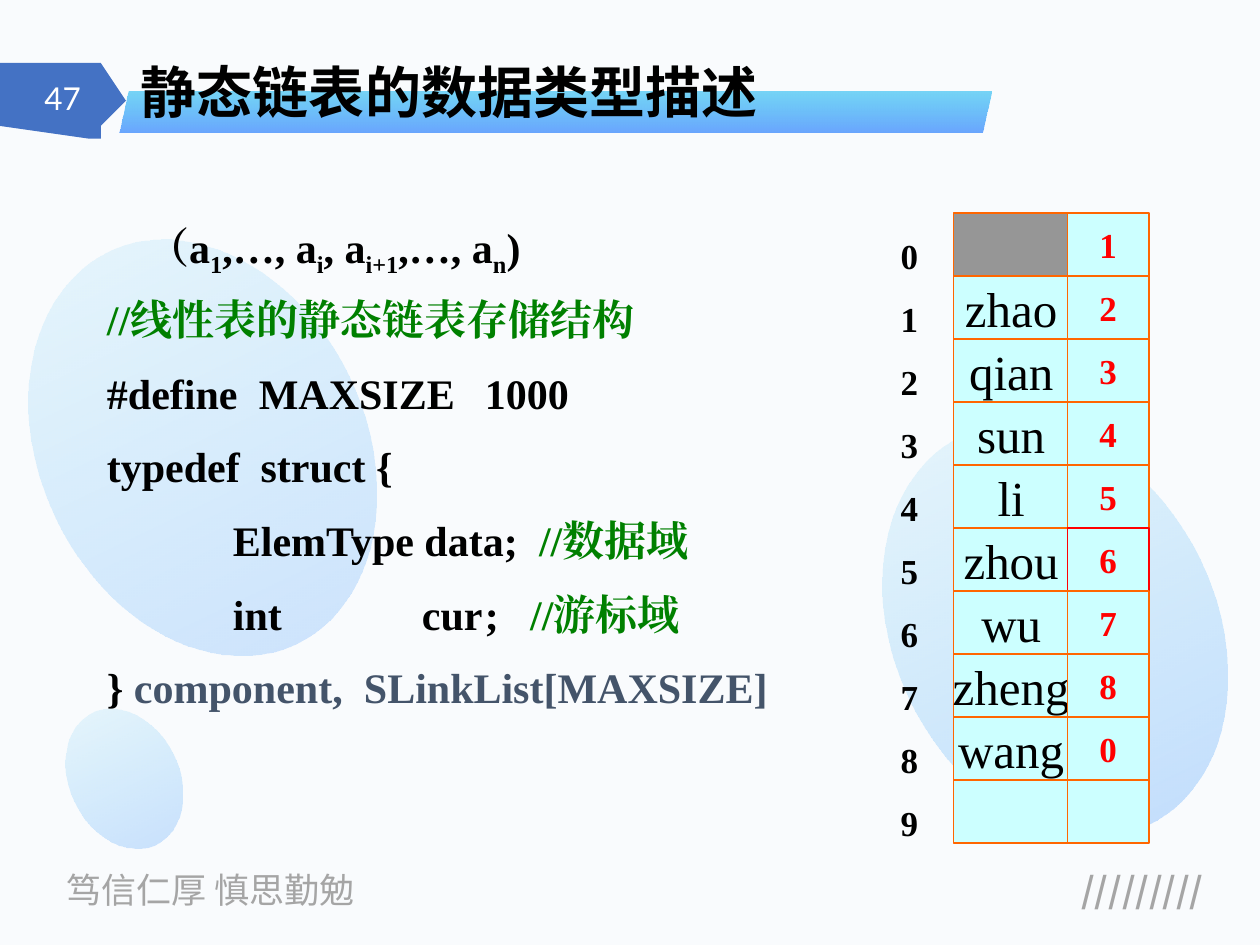
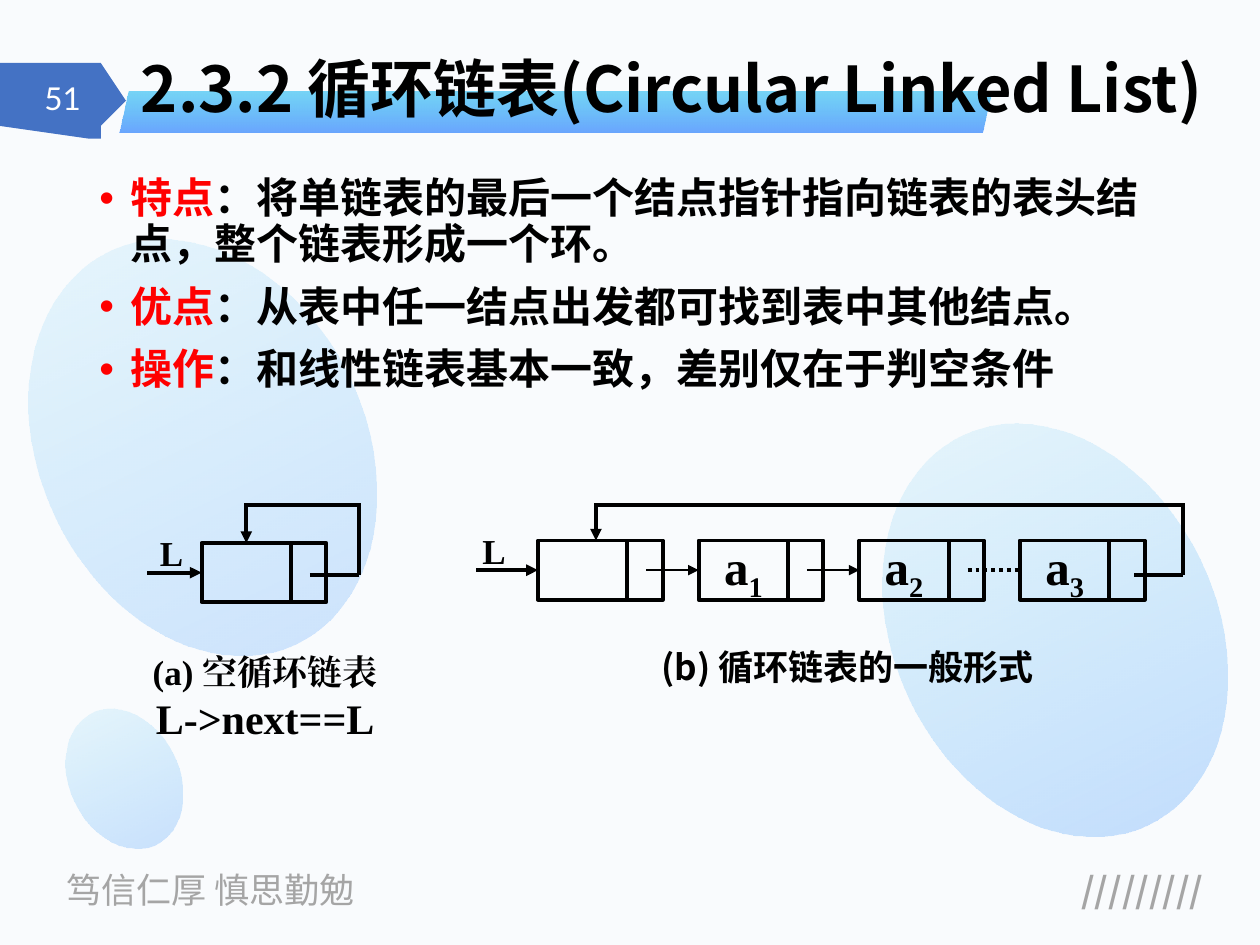
from dataclasses import dataclass
from typing import Optional

from lxml.etree import SubElement
from pptx import Presentation
from pptx.dml.color import RGBColor
from pptx.enum.dml import MSO_LINE_DASH_STYLE as Dash
from pptx.enum.shapes import MSO_CONNECTOR_TYPE as Link, MSO_SHAPE as Preset
from pptx.enum.text import MSO_ANCHOR as Anchor, PP_ALIGN as Align
from pptx.oxml.ns import qn
from pptx.util import Inches, Pt

# Grid: 100 columns by 75 rows
WIDTH, HEIGHT = Inches(10), Inches(7.5)
COLUMN, ROW = WIDTH / 100, HEIGHT / 75

SANS, SERIF, NUMBER = "Noto Sans CJK SC", "Times New Roman", "Lato"
COLORS = {
    "paper": "F9FBFD", "ink": "000000", "muted": "A5A5A5", "white": "FFFFFF",
    "tag": "4472C4", "blue": "3385FF", "sky": "00B0F0", "red": "FF0000",
    "green": "008000", "slate": "44546A", "orange": "FF6600",
    "cell": "CCFFFF", "unused": "969696",
}


@dataclass(frozen=True)
class Area:
    left: float
    top: float
    width: float
    height: float

    def emu(self) -> tuple:
        return (round(self.left * COLUMN), round(self.top * ROW),
                round(self.width * COLUMN), round(self.height * ROW))


@dataclass(frozen=True)
class Blob:
    area: Area
    opacity: int


@dataclass(frozen=True)
class CodeLine:
    stops: tuple  # tab stops in columns
    spans: tuple  # (text, colour) pairs


@dataclass(frozen=True)
class Node:
    left: float
    top: float
    label: str = ""


BLOBS = (
    Blob(Area(5.5, 56, 8.7, 11.6), 24),
    Blob(Area(70.9, 32.9, 25.6, 34.2), 27),
    Blob(Area(3.2, 18.3, 25.8, 34.4), 22),
)
TAG_OUTLINE = ((7.9, 5), (8.1, 5.1), (9.7, 7.6), (9.74, 7.75), (9.7, 7.9),
               (8.1, 10.5), (7.9, 10.6), (7.3, 10.6), (0, 10.5))
CODE = (
    CodeLine((), (("//线性表的静态链表存储结构", "green"),)),
    CodeLine((12.06, 30), (("#define\tMAXSIZE\t1000", "ink"),)),
    CodeLine((12.2,), (("typedef\tstruct {", "ink"),)),
    CodeLine((10, 34.3), (("\tElemType data;\t", "ink"), ("//数据域", "green"))),
    CodeLine((10, 25, 30, 33.6), (("\tint\tcur\t;\t", "ink"), ("//游标域", "green"))),
    CodeLine((20.4,), (("} ", "ink"), ("component,\tSLinkList[MAXSIZE]", "slate"))),
)
ENTRIES = (("", "1"), ("zhao", "2"), ("qian", "3"), ("sun", "4"), ("li", "5"),
           ("zhou", "6"), ("wu", "7"), ("zheng", "8"), ("wang", "0"), ("", ""))
POINTS = (
    ("特点", "：将单链表的最后一个结点指针指向链表的表头结点，整个链表形成一个环。"),
    ("优点", "：从表中任一结点出发都可找到表中其他结点。"),
    ("操作", "：和线性链表基本一致，差别仅在于判空条件"),
)
DATA_WIDTH, POINTER_WIDTH, NODE_HEIGHT = 7.1, 2.8, 4.7
POINTER_START = 8.6  # where a pointer leaves its node


def rgb(name: str) -> RGBColor:
    return RGBColor.from_string(COLORS[name])


# Text
def write(para, text: str, *, size: float, color: str = "ink",
          font: str = SERIF, bold: bool = True) -> None:
    """Add text; every second piece between bars is a subscript."""
    for number, piece in enumerate(text.split("|")):
        if not piece:
            continue
        span = para.add_run()
        span.text = piece
        span.font.size, span.font.bold, span.font.name = Pt(size), bold, font
        span.font.color.rgb = rgb(color)
        props = span._r.get_or_add_rPr()
        SubElement(props, qn("a:ea"), typeface=font)
        if number % 2:
            props.set("baseline", "-25000")


def add_text(page, area: Area, text: str = "", *, align=Align.LEFT,
             anchor=Anchor.TOP, wrap: bool = True, spacing: float = 1, **style):
    box = page.shapes.add_textbox(*area.emu())
    frame = box.text_frame
    frame.word_wrap, frame.vertical_anchor = wrap, anchor
    para = frame.paragraphs[0]
    para.alignment, para.line_spacing = align, spacing
    if text:
        write(para, text, **style)
    return frame


def next_para(frame, index: int):
    return frame.add_paragraph() if index else frame.paragraphs[0]


# Shapes
def add_preset(page, preset, area: Area):
    shape = page.shapes.add_shape(preset, *area.emu())
    shape.shadow.inherit = False
    shape.line.fill.background()
    return shape


def fade(shape, *stops: tuple) -> None:
    """Fill from top to bottom with (colour, opacity) stops."""
    shape.fill.gradient()
    shape.fill.gradient_angle = 270
    for stop, (color, opacity) in zip(shape.fill.gradient_stops, stops):
        stop.color.rgb = rgb(color)
    tints = shape._element.spPr.iter(qn("a:srgbClr"))
    for tint, (color, opacity) in zip(tints, stops):
        SubElement(tint, qn("a:alpha"), val=str(opacity * 1000))


def add_cell(page, area: Area, text: str = "", *, fill: Optional[str] = None,
             line: str = "ink", weight: float = 2.25, **style):
    cell = add_preset(page, Preset.RECTANGLE, area)
    if fill:
        cell.fill.solid()
        cell.fill.fore_color.rgb = rgb(fill)
    else:
        cell.fill.background()
    cell.line.color.rgb, cell.line.width = rgb(line), Pt(weight)
    if text:
        frame = cell.text_frame
        frame.word_wrap, frame.vertical_anchor = False, Anchor.MIDDLE
        frame.paragraphs[0].alignment = Align.CENTER
        write(frame.paragraphs[0], text, **style)
    return cell


def add_line(page, start: tuple, end: tuple, *, weight: float = 2.25,
             arrow: bool = False, dash=None, target=None, side: int = 1) -> None:
    ends = [round(value * unit) for point in (start, end)
            for value, unit in zip(point, (COLUMN, ROW))]
    line = page.shapes.add_connector(Link.STRAIGHT, *ends)
    if target is not None:
        line.end_connect(target, side)
    line.line.color.rgb, line.line.width = rgb("ink"), Pt(weight)
    if dash:
        line.line.dash_style = dash
    if arrow:
        SubElement(line.line._get_or_add_ln(), qn("a:tailEnd"), type="triangle")
    SubElement(line._element.spPr, qn("a:effectLst"))


# Shared slide frame
def add_page(deck, number: int, title: str, *, size: float, width: float):
    page = deck.slides.add_slide(deck.slide_layouts[6])
    page.background.fill.solid()
    page.background.fill.fore_color.rgb = rgb("paper")
    footer = dict(size=20, font=SANS, color="muted")
    add_text(page, Area(4.3, 68.4, 27, 4.4), "笃信仁厚 慎思勤勉", bold=False, **footer)
    add_text(page, Area(76.7, 68.4, 19.8, 4.4), "/////////", align=Align.RIGHT, **footer)
    for blob in BLOBS:
        ellipse = add_preset(page, Preset.OVAL, blob.area)
        ellipse.rotation = 154.4
        fade(ellipse, ("blue", blob.opacity), ("sky", 8))

    # Page number tag and title band
    outline = page.shapes.build_freeform(0, 5, scale=(COLUMN, ROW))
    outline.add_line_segments(TAG_OUTLINE, close=True)
    tag = outline.convert_to_shape()
    tag.shadow.inherit = False
    tag.fill.solid()
    tag.fill.fore_color.rgb = rgb("tag")
    tag.line.fill.background()
    add_text(page, Area(1, 5.8, 6.4, 4), str(number), align=Align.RIGHT,
             anchor=Anchor.MIDDLE, size=18, font=NUMBER, color="white", bold=False)
    band = add_preset(page, Preset.PARALLELOGRAM, Area(9.5, 7.3, 69.2, 3.2))
    band.adjustments[0] = 0.233
    fade(band, ("sky", 52), ("blue", 73))
    add_text(page, Area(10.2, 4, width, 6.5), title, anchor=Anchor.BOTTOM,
             spacing=0.9, size=size, font=SANS)
    return page


# Static linked list
def add_static_list(deck) -> None:
    page = add_page(deck, 47, "静态链表的数据类型描述", size=32, width=68.5)
    frame = add_text(page, Area(7.5, 22.8, 55.9, 35.3))
    for index, code in enumerate(CODE):
        para = next_para(frame, index)
        if code.stops:
            tabs = SubElement(para._p.get_or_add_pPr(), qn("a:tabLst"))
            for stop in code.stops:
                SubElement(tabs, qn("a:tab"), pos=str(round(stop * COLUMN)), algn="l")
        if index:
            para.space_before = Pt(13.3)
        for text, color in code.spans:
            write(para, text, size=24, color=color)
    add_text(page, Area(10.7, 17.5, 44.7, 4.6),
             "（a|1|,…, a|i|, a|i+1|,…, a|n|)", spacing=0.8, size=24)

    # Array of names and cursors
    for index, (name, cursor) in enumerate(ENTRIES):
        top = 16.9 + 5 * index
        add_cell(page, Area(75.7, top, 9.1, 5), name, weight=0.75, line="orange",
                 fill="cell" if index else "unused", size=28, bold=False)
        add_cell(page, Area(84.7, top, 6.5, 5), cursor, weight=0.75, fill="cell",
                 line="red" if name == "zhou" else "orange", size=20, color="red")
        add_text(page, Area(70.5, top + 1.2, 5.2, 4.3), str(index), size=20)


# Circular linked list
def add_node(page, node: Node):
    data = add_cell(page, Area(node.left, node.top, DATA_WIDTH, NODE_HEIGHT),
                    node.label, size=28)
    add_cell(page, Area(node.left + DATA_WIDTH, node.top, POINTER_WIDTH, NODE_HEIGHT))
    return data


def add_head(page, node: Node, data, label_left: float, start: float) -> None:
    middle = node.top + NODE_HEIGHT / 2
    add_text(page, Area(label_left, node.top - 1.4, 3.9, 4.3), "L", wrap=False, size=20)
    add_line(page, (start, middle), (node.left, middle), arrow=True, target=data)


def add_return(page, start: float, right: float, back: float, bottom: float,
               target=None) -> None:
    """Lead the last pointer up and over to the head node."""
    add_line(page, (start, 45.6), (right, 45.6))
    add_line(page, (right, 45.6), (right, 40.1))
    add_line(page, (right + 0.15, 40.1), (back - 0.15, 40.1))
    add_line(page, (back, 40.1), (back, bottom), arrow=True, target=target, side=0)


def add_circular_list(deck) -> None:
    page = add_page(deck, 51, "2.3.2 循环链表(Circular Linked List)", size=36, width=89)
    frame = add_text(page, Area(6.9, 13.6, 86.3, 53.9))
    for index, (term, text) in enumerate(POINTS):
        para = next_para(frame, index)
        props = para._p.get_or_add_pPr()
        props.set("marL", str(Inches(0.25)))
        props.set("indent", str(-Inches(0.25)))
        SubElement(props, qn("a:buFont"), typeface="Arial")
        SubElement(props, qn("a:buChar"), char="•")
        para.line_spacing = 0.9
        if index:
            para.space_before = Pt(10)
        write(para, term, size=24, font=SANS, color="red")
        write(para, text, size=24, font=SANS)

    # Empty ring
    caption = add_text(page, Area(11.1, 51.1, 19.9, 8.3), "(a) 空循环链表",
                       align=Align.CENTER, size=20)
    para = caption.add_paragraph()
    para.alignment = Align.CENTER
    write(para, "L->next==L", size=24)
    empty = Node(16, 43.1)
    data = add_node(page, empty)
    add_head(page, empty, data, label_left=11.7, start=11.7)
    add_return(page, empty.left + POINTER_START, 28.5,
               empty.left + DATA_WIDTH / 2, empty.top, data)

    # General ring
    add_text(page, Area(51.5, 50.7, 32.8, 4.3), "(b) 循环链表的一般形式",
             wrap=False, size=20, font=SANS)
    nodes = [Node(42.7 + 12.75 * index, 42.9, label)
             for index, label in enumerate(("", "a|1", "a|2", "a|3"))]
    cells = [add_node(page, node) for node in nodes]
    add_head(page, nodes[0], cells[0], label_left=37.3, start=37.8)
    middle = nodes[0].top + NODE_HEIGHT / 2
    for index, (node, follower) in enumerate(zip(nodes, nodes[1:])):
        skipped = index == 2
        add_line(page, (node.left + POINTER_START, middle), (follower.left, middle),
                 weight=2.25 if skipped else 0.75, arrow=not skipped,
                 dash=Dash.ROUND_DOT if skipped else None, target=cells[index + 1])
    add_return(page, 90, 93.9, 47.3, nodes[0].top)


def main() -> None:
    deck = Presentation()
    deck.slide_width, deck.slide_height = WIDTH, HEIGHT
    add_static_list(deck)
    add_circular_list(deck)
    deck.save("out.pptx")


if __name__ == "__main__":
    main()
